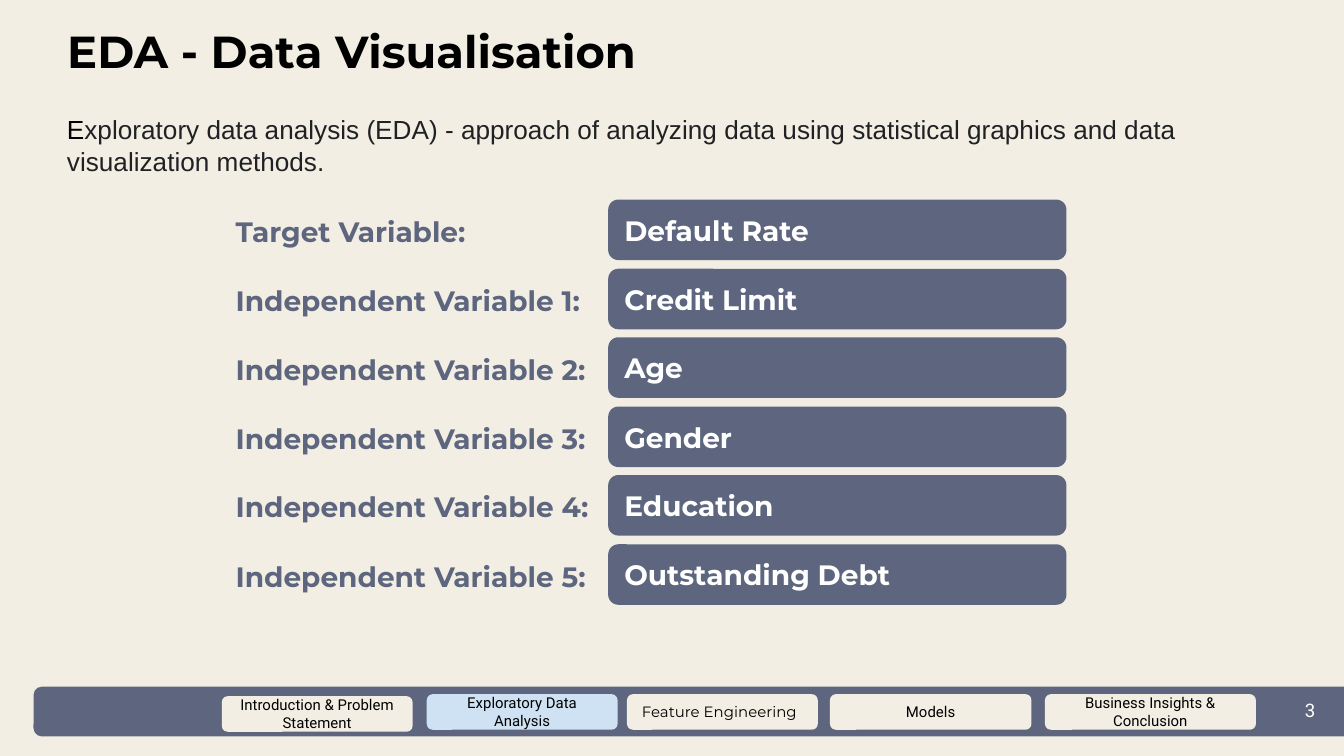
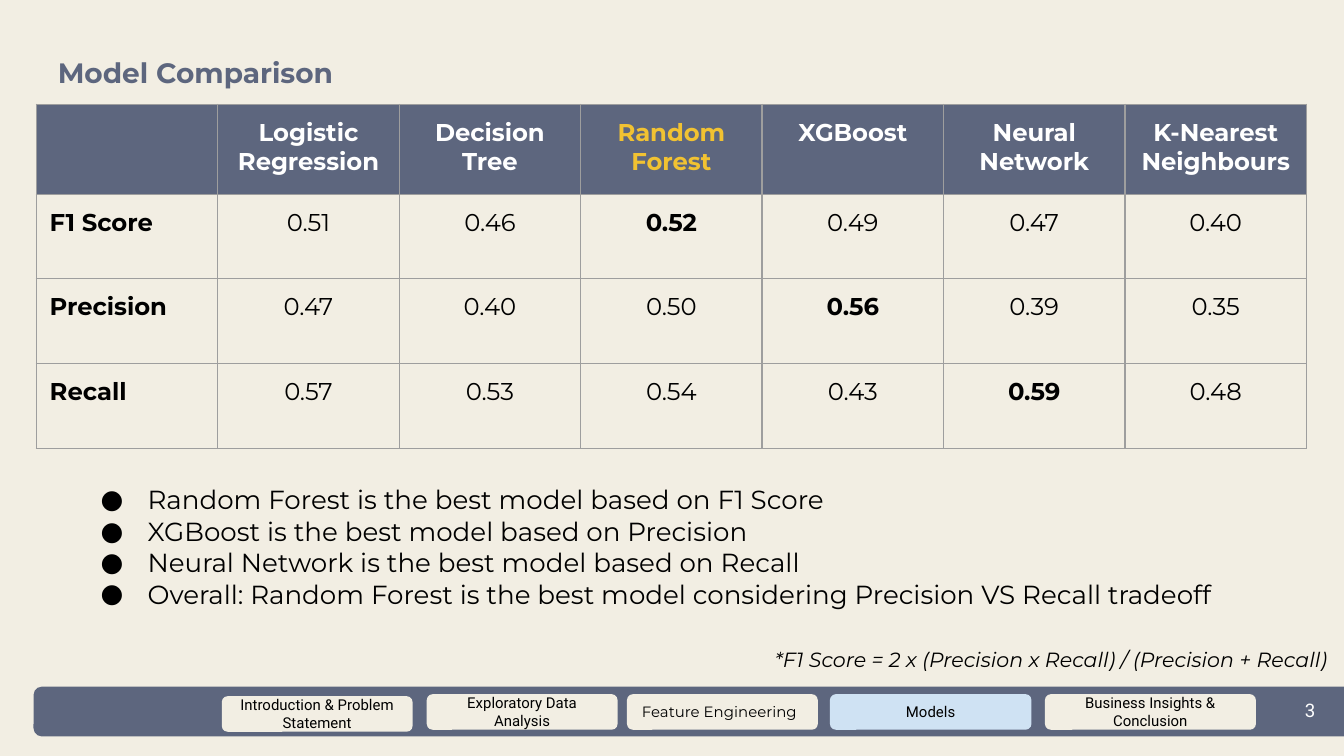
from dataclasses import dataclass, replace

from lxml.etree import SubElement
from pptx import Presentation
from pptx.dml.color import RGBColor
from pptx.enum.shapes import MSO_SHAPE as Shape
from pptx.enum.text import MSO_ANCHOR as Anchor, MSO_AUTO_SIZE as AutoSize, PP_ALIGN as Align
from pptx.oxml.ns import qn
from pptx.util import Emu, Pt

# Shared look: 200 px to the inch
PX = 4572
WIDTH, HEIGHT = 2000, 1125
INSET = 20
COLORS = {
    "paper": "F2EEE3",
    "slate": "5D667E",
    "active": "CFE2F3",
    "white": "FFFFFF",
    "black": "000000",
    "ink": "202124",
    "gold": "F1C232",
    "grid": "9E9E9E",
}


@dataclass(frozen=True)
class Frame:
    left: int
    top: int
    width: int
    height: int

    def emu(self) -> tuple:
        return tuple(Emu(n * PX) for n in (self.left, self.top, self.width, self.height))


@dataclass(frozen=True)
class Style:
    size: int
    color: str = "black"
    font: str = "Montserrat"
    bold: bool = False
    italic: bool = False
    align: Align = Align.LEFT


@dataclass(frozen=True)
class Tab:
    text: str
    frame: Frame
    style: Style


HEADING = Style(24, bold=True)
LABEL = Style(15, "slate", bold=True)
VALUE = replace(LABEL, color="white")
TAB = Style(8, font="Roboto", align=Align.CENTER)
CELL = Style(13, align=Align.CENTER)
PAGE_NUMBER = Style(10, "white", "Roboto")
BODY = Style(14)
INTRO = Style(14, font="Arial")
FOOTNOTE = Style(11, italic=True, align=Align.RIGHT)

TABS = [
    Tab("Introduction & Problem Statement", Frame(330, 1036, 284, 53), TAB),
    Tab("Exploratory Data Analysis", Frame(635, 1033, 284, 53), TAB),
    Tab("Feature Engineering", Frame(933, 1033, 284, 53), Style(8)),
    Tab("Models", Frame(1235, 1033, 300, 53), TAB),
    Tab("Business Insights & Conclusion", Frame(1555, 1033, 314, 53), TAB),
]

VARIABLES = ["Default Rate", "Credit Limit", "Age", "Gender", "Education", "Outstanding Debt"]
FIRST_ROW_TOP, LAST_ROW_TOP = 297, 810

SCORES = [
    ["", "Logistic Regression", "Decision Tree", "Random Forest", "XGBoost",
     "Neural Network", "K-Nearest Neighbours"],
    ["F1 Score", "0.51", "0.46", "0.52", "0.49", "0.47", "0.40"],
    ["Precision", "0.47", "0.40", "0.50", "0.56", "0.39", "0.35"],
    ["Recall", "0.57", "0.53", "0.54", "0.43", "0.59", "0.48"],
]
COLUMN_WIDTH, HEADER_HEIGHT, ROW_HEIGHT = 270, 134, 126
WINNER = "Random Forest"

FINDINGS = [
    "Random Forest is the best model based on F1 Score",
    "XGBoost is the best model based on Precision",
    "Neural Network is the best model based on Recall",
    "Overall: Random Forest is the best model considering Precision VS Recall tradeoff",
]


# Text helpers
def rgb(name: str) -> RGBColor:
    return RGBColor.from_string(COLORS[name])


def format_span(span, style: Style) -> None:
    font = span.font
    font.name, font.size = style.font, Pt(style.size)
    font.bold, font.italic = style.bold, style.italic
    font.color.rgb = rgb(style.color)


def format_text(text_frame, text: str, style: Style) -> None:
    text_frame.text = text
    for para in text_frame.paragraphs:
        para.alignment = style.align
        for span in para.runs:
            format_span(span, style)


def set_up_frame(text_frame, anchor: Anchor = Anchor.TOP) -> None:
    text_frame.word_wrap = True
    text_frame.auto_size = AutoSize.NONE
    text_frame.vertical_anchor = anchor
    text_frame.margin_left = text_frame.margin_right = Emu(INSET * PX)
    text_frame.margin_top = text_frame.margin_bottom = Emu(INSET * PX)


def add_text(shapes, frame: Frame, text: str, style: Style):
    box = shapes.add_textbox(*frame.emu())
    set_up_frame(box.text_frame)
    format_text(box.text_frame, text, style)
    return box


def add_round_box(shapes, frame: Frame, fill: str, text: str = "", style: Style = TAB) -> None:
    box = shapes.add_shape(Shape.ROUNDED_RECTANGLE, *frame.emu())
    box.shadow.inherit = False
    box.fill.solid()
    box.fill.fore_color.rgb = rgb(fill)
    box.line.fill.background()
    if text:
        set_up_frame(box.text_frame, Anchor.MIDDLE)
        format_text(box.text_frame, text, style)


def add_bullets(box) -> None:
    for para in box.text_frame.paragraphs:
        properties = para._p.get_or_add_pPr()
        properties.set("marL", str(100 * PX))
        properties.set("indent", str(-70 * PX))
        color = SubElement(properties, qn("a:buClr"))
        SubElement(color, qn("a:srgbClr"), val=COLORS["black"])
        SubElement(properties, qn("a:buFont"), typeface=BODY.font)
        SubElement(properties, qn("a:buChar"), char="●")


# Page with title and navigation bar
def add_page(deck, title: str, frame: Frame, style: Style, active: str):
    page = deck.slides.add_slide(deck.slide_layouts[5])
    page.background.fill.solid()
    page.background.fill.fore_color.rgb = rgb("paper")

    heading = page.shapes.title
    heading.left, heading.top, heading.width, heading.height = frame.emu()
    set_up_frame(heading.text_frame)
    format_text(heading.text_frame, title, style)

    add_round_box(page.shapes, Frame(50, 1022, 2000, 74), "slate")
    add_text(page.shapes, Frame(1922, 1020, 62, 74), "3", PAGE_NUMBER)
    for tab in TABS:
        fill = "active" if tab.text == active else "paper"
        add_round_box(page.shapes, tab.frame, fill, tab.text, tab.style)
    return page


# Score table
def add_borders(cell) -> None:
    properties = cell._tc.get_or_add_tcPr()
    for side in ("lnL", "lnR", "lnT", "lnB"):
        line = SubElement(properties, qn(f"a:{side}"), w=str(Pt(0.75)))
        fill = SubElement(line, qn("a:solidFill"))
        SubElement(fill, qn("a:srgbClr"), val=COLORS["grid"])


def cell_style(row: int, column: int) -> Style:
    text = SCORES[row][column]
    if row == 0:
        return replace(CELL, bold=True, color="gold" if text == WINNER else "white")
    if column == 0:
        return replace(CELL, bold=True, align=Align.LEFT)
    return replace(CELL, bold=text == max(SCORES[row][1:]))


def add_score_table(page) -> None:
    rows, columns = len(SCORES), len(SCORES[0])
    frame = Frame(54, 155, columns * COLUMN_WIDTH, HEADER_HEIGHT + (rows - 1) * ROW_HEIGHT)
    table = page.shapes.add_table(rows, columns, *frame.emu()).table
    table.first_row = table.horz_banding = False
    for column in table.columns:
        column.width = Emu(COLUMN_WIDTH * PX)
    for r, row in enumerate(table.rows):
        row.height = Emu((ROW_HEIGHT if r else HEADER_HEIGHT) * PX)
        for c, cell in enumerate(row.cells):
            cell.margin_left = cell.margin_right = Emu(INSET * PX)
            cell.margin_top = cell.margin_bottom = Emu(INSET * PX)
            add_borders(cell)
            if r == 0:
                cell.fill.solid()
                cell.fill.fore_color.rgb = rgb("slate")
            else:
                cell.fill.background()
            format_text(cell.text_frame, SCORES[r][c], cell_style(r, c))


# Slides
def add_variables_page(deck) -> None:
    page = add_page(deck, "EDA - Data Visualisation", Frame(80, 16, 1842, 122), HEADING,
                    "Exploratory Data Analysis")
    pitch = (LAST_ROW_TOP - FIRST_ROW_TOP) / (len(VARIABLES) - 1)
    for i, variable in enumerate(VARIABLES):
        top = FIRST_ROW_TOP + round(i * pitch)
        label = f"Independent Variable {i}:" if i else "Target Variable:"
        group = page.shapes.add_group_shape()
        add_round_box(group.shapes, Frame(905, top, 682, 90), "slate", variable, VALUE)
        add_text(group.shapes, Frame(331, top + 2, 566, 90), label, LABEL)

    intro = add_text(page.shapes, Frame(80, 149, 1874, 134), "E", INTRO)
    span = intro.text_frame.paragraphs[0].add_run()
    span.text = ("xploratory data analysis (EDA) - approach of analyzing data using "
                 "statistical graphics and data visualization methods.")
    format_span(span, replace(INTRO, color="ink"))


def add_models_page(deck) -> None:
    page = add_page(deck, "Model Comparison", Frame(66, 62, 538, 90), LABEL, "Models")
    add_score_table(page)
    add_bullets(add_text(page.shapes, Frame(100, 700, 1800, 276), "\n".join(FINDINGS), BODY))
    add_text(page.shapes, Frame(104, 943, 1892, 78),
             "*F1 Score = 2 x (Precision x Recall) / (Precision + Recall)", FOOTNOTE)


def main() -> None:
    deck = Presentation()
    deck.slide_width, deck.slide_height = Emu(WIDTH * PX), Emu(HEIGHT * PX)
    add_variables_page(deck)
    add_models_page(deck)
    deck.save("out.pptx")


if __name__ == "__main__":
    main()
